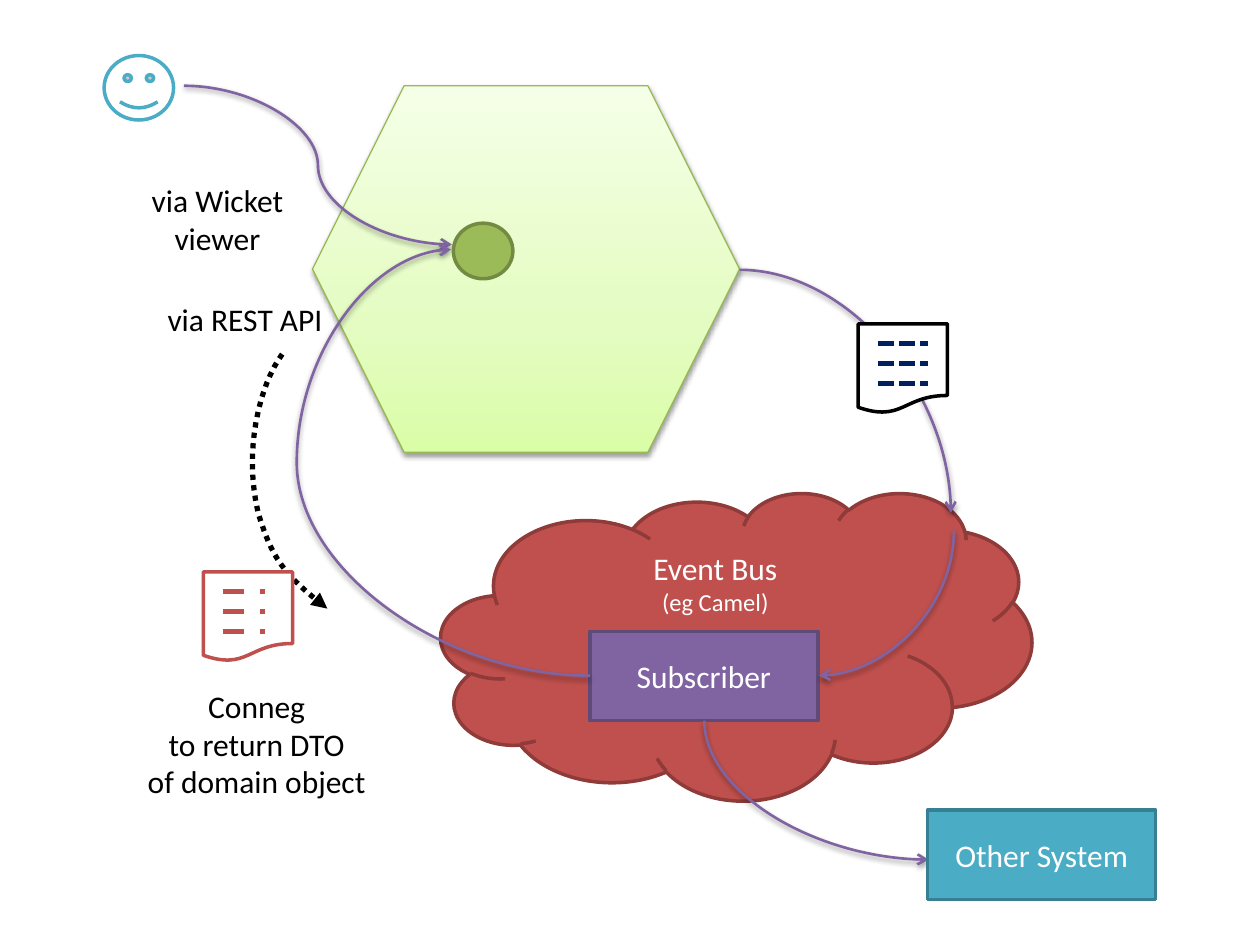
from copy import deepcopy

from lxml.etree import SubElement
from pptx import Presentation
from pptx.dml.color import RGBColor
from pptx.enum.dml import MSO_LINE
from pptx.enum.shapes import MSO_CONNECTOR, MSO_SHAPE
from pptx.enum.text import MSO_ANCHOR, PP_ALIGN
from pptx.oxml.ns import qn
from pptx.util import Cm, Pt

PURPLE, RED, TEAL, GREEN = "8064A2", "C0504D", "4BACC6", "9BBB59"
WHITE, BLACK, NAVY = "FFFFFF", "000000", "002060"


def rgb(code):
    return RGBColor.from_string(code)


def stroke(item, color, width, dash=None, head=None):
    item.line.color.rgb = rgb(color)
    item.line.width = Pt(width)
    if dash:
        item.line.dash_style = dash
    if head:
        SubElement(item.line._get_or_add_ln(), qn("a:tailEnd"), type=head)


def shade(item):
    """Give a soft shadow just below the item."""
    props = item._element.spPr
    effects = props.find(qn("a:effectLst"))
    if effects is None:
        effects = SubElement(props, qn("a:effectLst"))
    drop = SubElement(effects, qn("a:outerShdw"), blurRad="40000", dist="20000",
                      dir="5400000", rotWithShape="0")
    color = SubElement(drop, qn("a:srgbClr"), val=BLACK)
    SubElement(color, qn("a:alpha"), val="38000")


def write(frame, lines, color):
    """Fill a frame with (text, size) paragraphs."""
    for i, (text, size) in enumerate(lines):
        para = frame.paragraphs[0] if i == 0 else frame.add_paragraph()
        para.text = text
        para.alignment = PP_ALIGN.CENTER
        para.font.size = Pt(size)
        para.font.name = "Calibri"
        para.font.color.rgb = rgb(color)


def add_form(slide, kind, box, fill, edge, width=2, lines=()):
    form = slide.shapes.add_shape(kind, *map(Cm, box))
    form.shadow.inherit = False
    form.fill.solid()
    form.fill.fore_color.rgb = rgb(fill)
    stroke(form, edge, width)
    form.text_frame.vertical_anchor = MSO_ANCHOR.MIDDLE
    write(form.text_frame, lines, WHITE)
    return form


def add_hexagon(slide, box):
    form = add_form(slide, MSO_SHAPE.HEXAGON, box, WHITE, "98B955", 0.75)
    fill = form.fill
    fill.gradient()
    fill.gradient_angle = 90
    first = form._element.spPr.find(".//" + qn("a:gs"))
    first.addnext(deepcopy(first))
    tones = ("DAFDA7", 0), ("E4FCC2", 0.35), ("F5FFE7", 1)
    for stop, (color, place) in zip(fill.gradient_stops, tones):
        stop.color.rgb = rgb(color)
        stop.position = place
    shade(form)


def add_curve(slide, box, kind="curvedConnector2", turn=0, flip=False, bend=None):
    """Add a curved arrow; box is its frame before the turn in degrees."""
    left, top, width, height = box
    curve = slide.shapes.add_connector(
        MSO_CONNECTOR.CURVE, Cm(left), Cm(top), Cm(left + width), Cm(top + height))
    props = curve._element.spPr
    frame = props.find(qn("a:xfrm"))
    frame.set("rot", str(turn * 60000))
    if flip:
        frame.set("flipH", "1")
    shape = props.find(qn("a:prstGeom"))
    shape.set("prst", kind)
    if bend:
        guides = shape.find(qn("a:avLst"))
        SubElement(guides, qn("a:gd"), name="adj1", fmla=f"val {round(bend * 100000)}")
    stroke(curve, PURPLE, 1.5, head="arrow")
    shade(curve)


def add_page(slide, left, top, edge, ink, dash):
    """Add a document with three dashed lines of writing."""
    add_form(slide, MSO_SHAPE.FLOWCHART_DOCUMENT, (left, top, 1.8, 1.8), WHITE, edge)
    for row in range(1, 4):
        y = Cm(top + 0.4 * row)
        line = slide.shapes.add_connector(
            MSO_CONNECTOR.STRAIGHT, Cm(left + 0.4), y, Cm(left + 1.4), y)
        stroke(line, ink, 3, dash)
        SubElement(line._element.spPr, qn("a:effectLst"))


def bezier(knots, steps=16):
    """Return points along a cubic curve, without its start."""
    points = []
    for i in range(1, steps + 1):
        t = i / steps
        u = 1 - t
        parts = (u ** 3, 3 * u * u * t, 3 * u * t * t, t ** 3)
        points.append(tuple(Cm(sum(p * k[axis] for p, k in zip(parts, knots)))
                            for axis in (0, 1)))
    return points


def add_dots(slide, knots):
    """Add a dotted arrow through a chain of cubic curves."""
    start = map(Cm, knots[0])
    path = slide.shapes.build_freeform(*start, scale=1.0)
    for i in range(0, len(knots) - 1, 3):
        path.add_line_segments(bezier(knots[i:i + 4]), close=False)
    form = path.convert_to_shape()
    form.shadow.inherit = False
    form.fill.background()
    stroke(form, BLACK, 3, MSO_LINE.ROUND_DOT, "triangle")


def add_label(slide, box, *texts, wrap=False):
    label = slide.shapes.add_textbox(*map(Cm, box))
    label.text_frame.word_wrap = wrap
    write(label.text_frame, [(text, 18) for text in texts], BLACK)


def main():
    deck = Presentation()
    deck.slide_width, deck.slide_height = Cm(25.4), Cm(19.05)
    slide = deck.slides.add_slide(deck.slide_layouts[6])

    add_hexagon(slide, (6.3, 1.73, 8.61, 7.39))
    cloud = add_form(slide, MSO_SHAPE.CLOUD, (8.89, 9.93, 11.91, 6.2), RED, "8E3B39",
                     lines=[("Event Bus", 18), ("(eg Camel)", 14)])
    cloud.text_frame.vertical_anchor = MSO_ANCHOR.TOP
    cloud.text_frame.margin_top = Cm(0.2)

    add_curve(slide, (14.91, 5.44, 4.26, 4.9))
    add_curve(slide, (3.71, 1.73, 5.4, 3.2), "curvedConnector3", bend=0.5)
    add_form(slide, MSO_SHAPE.RECTANGLE, (11.89, 12.73, 4.6, 1.8), PURPLE, "5F4A78",
             lines=[("Subscriber", 18)])
    add_curve(slide, (16.41, 10.8, 2.92, 2.72), turn=90)
    add_curve(slide, (9.09, 5.03, 2.8, 8.59), "curvedConnector3", turn=180, bend=2.11)
    add_dots(slide, [(5.69, 7.14), (5.23, 7.77), (4.9, 9.09), (5.21, 10.36),
                     (5.49, 11.25), (5.69, 11.56), (6.6, 12.27)])
    add_page(slide, 4.1, 11.53, RED, RED, MSO_LINE.DASH_DOT)
    add_curve(slide, (15.06, 13.67, 2.8, 4.52), turn=270, flip=True)
    add_form(slide, MSO_SHAPE.RECTANGLE, (18.7, 16.33, 4.6, 1.8), TEAL, "377F92",
             lines=[("Other System", 18)])
    add_label(slide, (2.7, 13.72, 4.95, 2.57),
              "Conneg", "to return DTO\vof domain object")
    add_form(slide, MSO_SHAPE.OVAL, (9.14, 4.5, 1.2, 1.12), GREEN, "738A42")
    add_page(slide, 17.3, 6.53, BLACK, NAVY, MSO_LINE.SQUARE_DOT)
    add_form(slide, MSO_SHAPE.SMILEY_FACE, (2.1, 1.12, 1.4, 1.3), WHITE, TEAL)
    add_label(slide, (3.1, 5.92, 3.68, 1.02), "via REST API")
    add_label(slide, (2.1, 3.53, 4.57, 1.02), "via Wicket viewer", wrap=True)

    deck.save("out.pptx")


if __name__ == "__main__":
    main()
